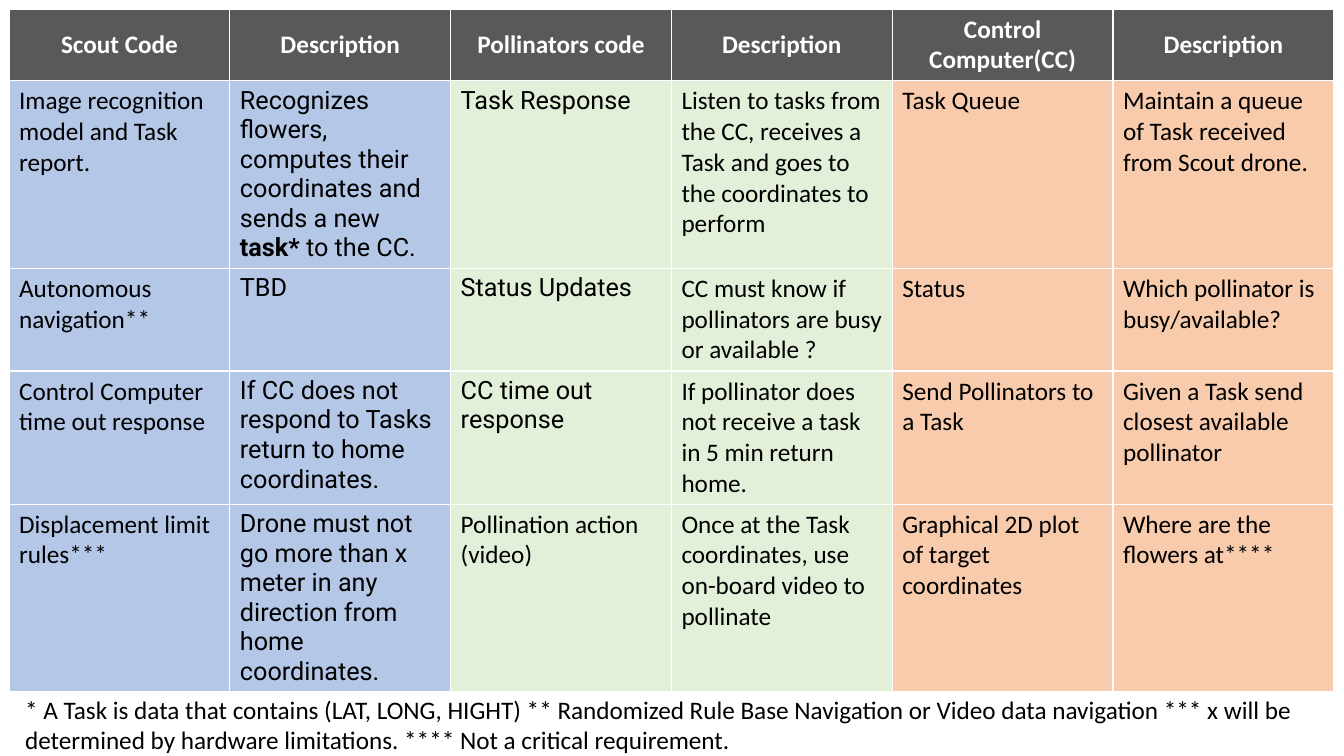
"""Build the drone code responsibilities slide."""
from dataclasses import dataclass

from lxml import etree
from pptx import Presentation
from pptx import util as u
from pptx.dml.color import RGBColor
from pptx.enum import text
from pptx.oxml.ns import qn


@dataclass(frozen=True)
class Theme:
    """Colours, fonts and type size of the slide."""
    header: str = "595959"
    scout: str = "B4C7E7"
    pollinator: str = "E2F0D9"
    control: str = "F8CBAD"
    white: str = "FFFFFF"
    ink: str = "000000"
    font: str = "Calibri"
    alt_font: str = "Roboto"
    size: int = 18
    border: float = 1


THEME = Theme()
COLUMN_FILLS = [fill for fill in (THEME.scout, THEME.pollinator, THEME.control)
                for _ in range(2)]
COLUMN_WIDTH = 2.19
ROW_HEIGHTS = [0.71, 1.85, 1.02, 1.32, 1.85]
ALT_FONT_CELLS = {(row, 1) for row in range(1, 5)} | {(row, 2) for row in range(1, 4)}
BOLD_TERM = "task*"

ROWS = [
    ["Scout Code", "Description", "Pollinators code", "Description",
     "Control Computer(CC)", "Description"],
    ["Image recognition model and Task report.",
     "Recognizes flowers, computes their coordinates and sends a new task* to the CC.",
     "Task Response",
     "Listen to tasks from the CC, receives a Task and goes to the coordinates to perform",
     "Task Queue",
     "Maintain a queue of Task received from Scout drone."],
    ["Autonomous navigation**",
     "TBD",
     "Status Updates",
     "CC must know if pollinators are busy or available ?",
     "Status",
     "Which pollinator is busy/available?"],
    ["Control Computer time out response",
     "If CC does not respond to Tasks return to home coordinates.",
     "CC time out response",
     "If pollinator does not receive a task in 5 min return home.",
     "Send Pollinators to a Task",
     "Given a Task send closest available pollinator"],
    ["Displacement limit rules***",
     "Drone must not go more than x meter in any direction from home coordinates.",
     "Pollination action (video)",
     "Once at the Task coordinates, use on-board video to pollinate",
     "Graphical 2D plot of target coordinates",
     "Where are the flowers at****"],
]
FOOTNOTE = ("* A Task is data that contains (LAT, LONG, HIGHT) "
            "** Randomized Rule Base Navigation or Video data navigation "
            "*** x will be determined by hardware limitations. "
            "**** Not a critical requirement.")


def add_text(p, content, font=THEME.font, color=THEME.ink, bold=False, align=None):
    """Append one formatted run to a paragraph."""
    p.alignment = align
    r = p.add_run()
    r.text = content
    r.font.name = font
    r.font.size = u.Pt(THEME.size)
    r.font.bold = bold
    r.font.color.rgb = RGBColor.from_string(color)


def set_borders(cell):
    """Draw a thin white line on every side of a cell."""
    props = cell._tc.get_or_add_tcPr()
    for index, side in enumerate(("a:lnL", "a:lnR", "a:lnT", "a:lnB")):
        line = etree.Element(qn(side), w=str(u.Pt(THEME.border)))
        fill = etree.SubElement(line, qn("a:solidFill"))
        etree.SubElement(fill, qn("a:srgbClr"), val=THEME.white)
        props.insert(index, line)


def fill_cell(cell, content, row, column):
    """Format a table cell and write its text."""
    is_header = row == 0
    cell.fill.solid()
    cell.fill.fore_color.rgb = RGBColor.from_string(
        THEME.header if is_header else COLUMN_FILLS[column])
    set_borders(cell)
    p = cell.text_frame.paragraphs[0]
    if is_header:
        cell.vertical_anchor = text.MSO_ANCHOR.MIDDLE
        add_text(p, content, color=THEME.white, bold=True, align=text.PP_ALIGN.CENTER)
        return
    font = THEME.alt_font if (row, column) in ALT_FONT_CELLS else THEME.font
    before, term, after = content.partition(BOLD_TERM)
    for part in filter(None, (before, term, after)):
        add_text(p, part, font=font, bold=part == BOLD_TERM)


def add_code_table(s, left, top):
    """Place the table of code modules with its top-left corner as given."""
    columns = len(COLUMN_FILLS)
    table = s.shapes.add_table(
        len(ROWS), columns, u.Inches(left), u.Inches(top),
        u.Inches(COLUMN_WIDTH * columns), u.Inches(sum(ROW_HEIGHTS))).table
    for column in table.columns:
        column.width = u.Inches(COLUMN_WIDTH)
    for row, (height, contents) in enumerate(zip(ROW_HEIGHTS, ROWS)):
        table.rows[row].height = u.Inches(height)
        for column, content in enumerate(contents):
            fill_cell(table.cell(row, column), content, row, column)


def add_footnote(s, left, top, width, height):
    """Place the notes on the starred terms in the given box."""
    sp = s.shapes.add_textbox(*map(u.Inches, (left, top, width, height)))
    tf = sp.text_frame
    tf.word_wrap = True
    tf.auto_size = text.MSO_AUTO_SIZE.SHAPE_TO_FIT_TEXT
    add_text(tf.paragraphs[0], FOOTNOTE)


def main():
    """Create and save the presentation."""
    prs = Presentation()
    prs.slide_width = u.Inches(13.33)
    prs.slide_height = u.Inches(7.5)
    s = prs.slides.add_slide(prs.slide_layouts.get_by_name("Blank"))
    add_code_table(s, 0.09, 0.09)
    add_footnote(s, 0.15, 6.84, 13.05, 0.71)
    prs.save("out.pptx")


if __name__ == "__main__":
    main()
